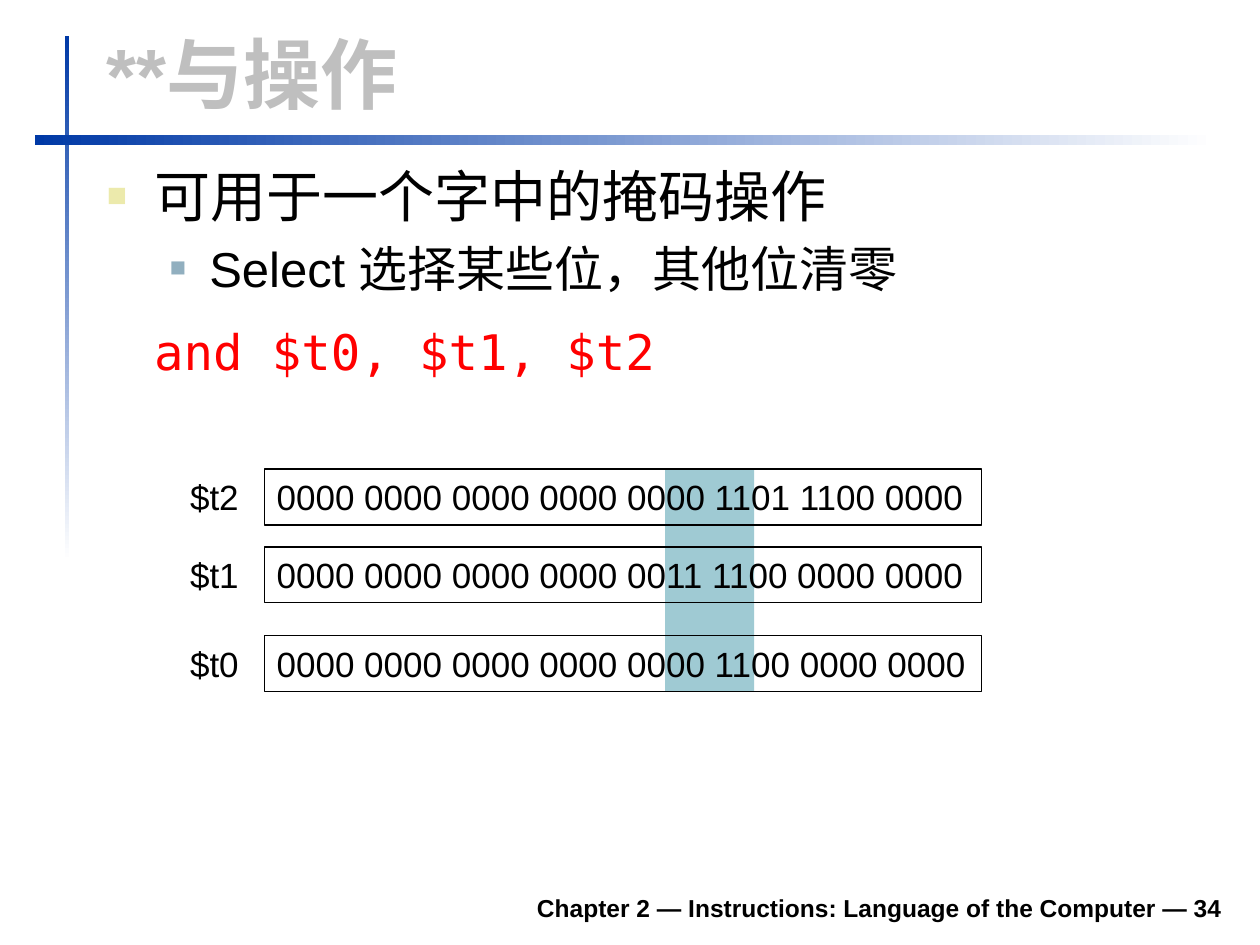
"""Build the slide on masking bits of a word with the AND operation."""
from dataclasses import dataclass

from lxml import etree
from pptx import Presentation
from pptx.dml.color import RGBColor
from pptx.enum.shapes import MSO_SHAPE
from pptx.enum.text import MSO_ANCHOR, PP_ALIGN
from pptx.oxml.ns import qn
from pptx.util import Pt

RECTANGLE = MSO_SHAPE.RECTANGLE
TOP, MIDDLE, BOTTOM = MSO_ANCHOR.TOP, MSO_ANCHOR.MIDDLE, MSO_ANCHOR.BOTTOM
LEFT, RIGHT = PP_ALIGN.LEFT, PP_ALIGN.RIGHT


@dataclass(frozen=True)
class Theme:
    sans: str = "Arial"
    mono: str = "DejaVu Sans Mono"
    ink: str = "000000"
    paper: str = "FFFFFF"
    title: str = "BFBFBF"
    rule: str = "0039A6"
    mask: str = "9FCAD3"
    code: str = "FF0000"
    bullet: str = "ECEAAC"
    sub_bullet: str = "91AFBF"
    title_size: float = 44
    body_size: float = 32
    sub_size: float = 28
    bits_size: float = 20
    footer_size: float = 14


THEME = Theme()


def write(para, text, size, color=THEME.ink, font=THEME.sans, bold=False,
          align=LEFT, before=0, after=0):
    para.alignment = align
    para.space_before, para.space_after = Pt(before), Pt(after)
    span = para.add_run()
    span.text = text
    span.font.name, span.font.size, span.font.bold = font, Pt(size), bold
    span.font.color.rgb = RGBColor.from_string(color)


def indent(para, margin, hang=0, level=0):
    para.level = level
    properties = para._p.get_or_add_pPr()
    properties.set("marL", str(Pt(margin)))
    properties.set("indent", str(-Pt(hang)))
    return properties


def add_bullet(properties, color, percent):
    holder = etree.SubElement(properties, qn("a:buClr"))
    etree.SubElement(holder, qn("a:srgbClr"), val=color)
    etree.SubElement(properties, qn("a:buSzPct"), val=str(percent * 1000))
    etree.SubElement(properties, qn("a:buFont"), typeface=THEME.sans)
    etree.SubElement(properties, qn("a:buChar"), char="■")


class SlideBuilder:
    def __init__(self, page, theme):
        self.page, self.theme = page, theme

    def rectangle(self, left, top, width, height):
        box = self.page.shapes.add_shape(
            RECTANGLE, Pt(left), Pt(top), Pt(width), Pt(height))
        box.shadow.inherit = False
        box.line.fill.background()
        return box

    def fading_rule(self, left, top, width, height, angle):
        fill = self.rectangle(left, top, width, height).fill
        fill.gradient()
        fill.gradient_angle = angle
        colors = (self.theme.rule, self.theme.paper)
        for stop, color in zip(fill.gradient_stops, colors):
            stop.color.rgb = RGBColor.from_string(color)

    def band(self, left, top, width, height):
        box = self.rectangle(left, top, width, height)
        box.fill.solid()
        box.fill.fore_color.rgb = RGBColor.from_string(self.theme.mask)

    def text(self, left, top, width, height, anchor=TOP, wrap=True):
        box = self.page.shapes.add_textbox(
            Pt(left), Pt(top), Pt(width), Pt(height))
        frame = box.text_frame
        frame.word_wrap, frame.vertical_anchor = wrap, anchor
        return frame

    def register(self, name, bits, top):
        label = self.text(101.5, top, 42.5, 32, MIDDLE, wrap=False)
        write(label.paragraphs[0], name, self.theme.bits_size)
        box = self.rectangle(151, top, 410, 32)
        box.fill.background()
        box.line.color.rgb = RGBColor.from_string(self.theme.ink)
        box.line.width = Pt(0.75)
        frame = box.text_frame
        frame.word_wrap, frame.vertical_anchor = False, MIDDLE
        write(frame.paragraphs[0], bits, self.theme.bits_size)


def main():
    deck = Presentation()
    deck.slide_width, deck.slide_height = Pt(720), Pt(540)
    page = deck.slides.add_slide(deck.slide_layouts[6])
    builder = SlideBuilder(page, THEME)

    builder.fading_rule(37, 20.5, 2.5, 300, 270)
    builder.fading_rule(20, 77, 674.5, 6, 0)

    footer = builder.text(133, 502.5, 572.5, 28, BOTTOM)
    write(footer.paragraphs[0],
          "Chapter 2 — Instructions: Language of the Computer — 34",
          THEME.footer_size, bold=True, align=RIGHT)

    title = builder.text(54, 11.5, 650, 60, BOTTOM)
    write(title.paragraphs[0], "**与操作", THEME.title_size, THEME.title,
          bold=True)

    body = builder.text(54, 88.5, 651.5, 163.5)
    topic, detail = body.paragraphs[0], body.add_paragraph()
    instruction = body.add_paragraph()
    add_bullet(indent(topic, 27, 27), THEME.bullet, 60)
    write(topic, "可用于一个字中的掩码操作", THEME.body_size)
    add_bullet(indent(detail, 58.5, 22.5, level=1), THEME.sub_bullet, 55)
    write(detail, "Select 选择某些位，其他位清零", THEME.sub_size, before=5.6)
    indent(instruction, 27)
    write(instruction, "and $t0, $t1, $t2", THEME.sub_size, THEME.code,
          THEME.mono, before=14, after=8.4)

    builder.band(380, 268.5, 51, 126.5)
    registers = (
        ("$t2", "0000 0000 0000 0000 0000 1101 1100 0000", 268),
        ("$t1", "0000 0000 0000 0000 0011 1100 0000 0000", 312.5),
        ("$t0", "0000 0000 0000 0000 0000 1100 0000 0000", 363),
    )
    for name, bits, top in registers:
        builder.register(name, bits, top)

    deck.save("out.pptx")


if __name__ == "__main__":
    main()
